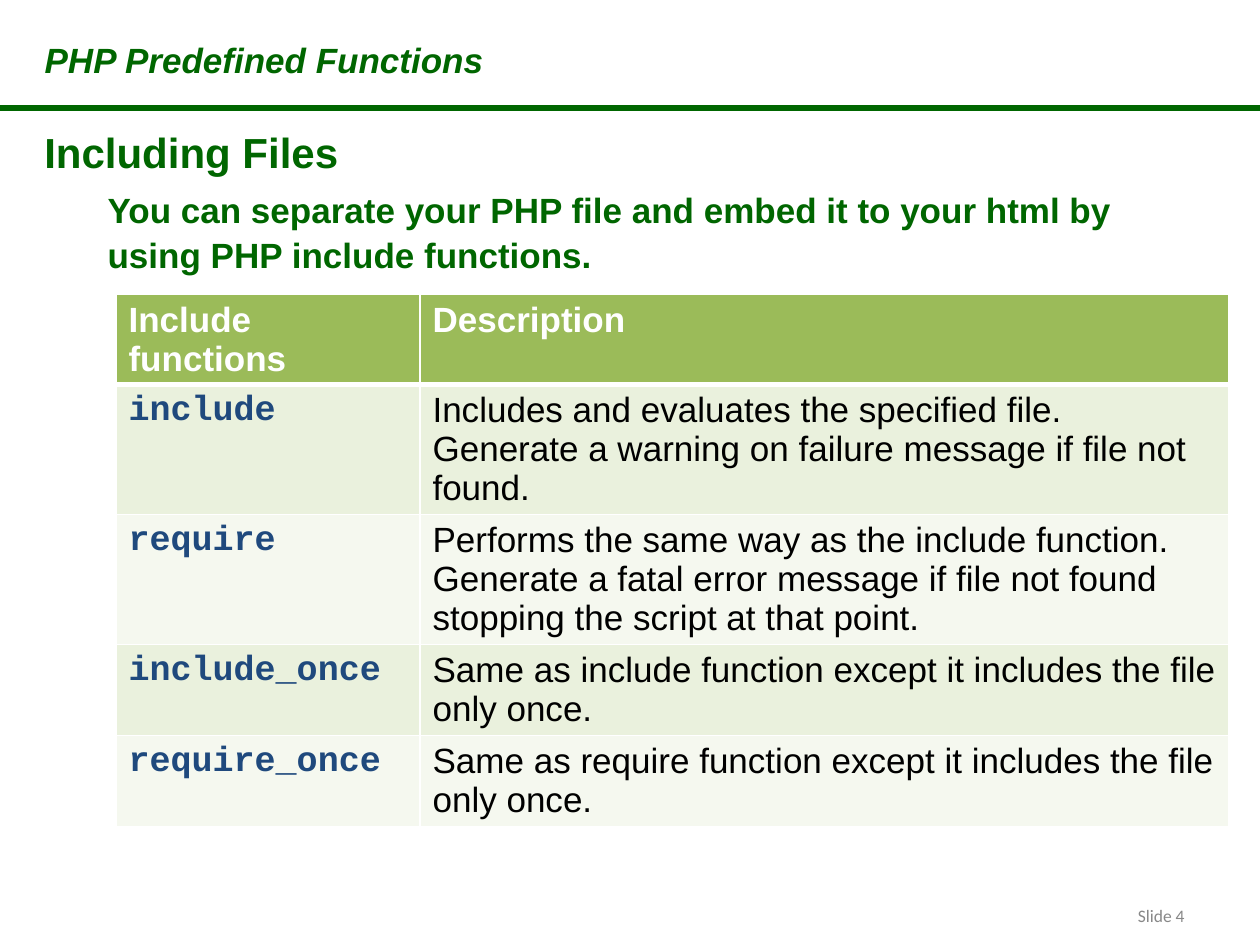
from dataclasses import dataclass

from lxml.etree import SubElement
from pptx import Presentation
from pptx.dml.color import RGBColor
from pptx.enum.shapes import MSO_SHAPE
from pptx.enum.text import MSO_ANCHOR, MSO_AUTO_SIZE, PP_ALIGN
from pptx.oxml.ns import qn
from pptx.util import Emu, Pt

PX_PER_INCH = 126
GREEN, WHITE, BLACK = "006600", "FFFFFF", "000000"
HEADER_FILL, BAND_FILLS = "9BBB59", ("EAF1DD", "F5F8EF")


@dataclass(frozen=True)
class Style:
    size: int
    color: str
    font: str = "Arial"
    bold: bool = False
    italic: bool = False


@dataclass(frozen=True)
class IncludeFunction:
    name: str
    description: tuple[str, ...]
    height: int


HEADER = Style(20, WHITE, bold=True)
CODE = Style(20, "1F497D", "Courier New", bold=True)
DESCRIPTION = Style(20, BLACK)

FUNCTIONS = (
    IncludeFunction("include", (
        "Includes and evaluates the specified file.",
        "Generate a warning on failure message if file not found."), 130),
    IncludeFunction("require", (
        "Performs the same way as the include function.",
        "Generate a fatal error message if file not found stopping the script at that point."), 130),
    IncludeFunction("include_once", (
        "Same as include function except it includes the file only once.",), 91),
    IncludeFunction("require_once", (
        "Same as require function except it includes the file only once.",), 91),
)


def px(length: int) -> Emu:
    return Emu(round(length * 914400 / PX_PER_INCH))


def rgb(color: str) -> RGBColor:
    return RGBColor.from_string(color)


def add_run(paragraph, text: str, style: Style) -> None:
    run = paragraph.add_run()
    run.text = text
    font = run.font
    font.size, font.name = Pt(style.size), style.font
    font.bold, font.italic = style.bold, style.italic
    font.color.rgb = rgb(style.color)


def write_line(shape, box: tuple[int, int, int, int], text: str, style: Style,
               indent: int = 0, align=PP_ALIGN.LEFT, anchor=MSO_ANCHOR.TOP) -> None:
    """Place a text shape and give it one unbulleted paragraph."""
    shape.left, shape.top, shape.width, shape.height = map(px, box)
    frame = shape.text_frame
    frame.word_wrap, frame.auto_size = True, MSO_AUTO_SIZE.NONE
    frame.vertical_anchor = anchor
    paragraph = frame.paragraphs[0]
    paragraph.alignment = align
    paragraph.space_before, paragraph.line_spacing = Pt(0), 1.08
    properties = paragraph._p.get_or_add_pPr()
    properties.set("marL", str(px(indent)))
    properties.set("indent", "0")
    SubElement(properties, qn("a:buNone"))
    add_run(paragraph, text, style)


def add_borders(cell, bottom: int) -> None:
    properties = cell._tc.get_or_add_tcPr()
    for position, (side, width) in enumerate(
            (("lnL", 1), ("lnR", 1), ("lnT", 1), ("lnB", bottom))):
        line = SubElement(properties, qn(f"a:{side}"), w=str(Pt(width)))
        fill = SubElement(line, qn("a:solidFill"))
        SubElement(fill, qn("a:srgbClr"), val=WHITE)
        properties.insert(position, line)


def fill_cell(cell, lines: tuple[str, ...], style: Style, fill: str, bottom: int = 1) -> None:
    cell.fill.solid()
    cell.fill.fore_color.rgb = rgb(fill)
    add_borders(cell, bottom)
    frame = cell.text_frame
    for index, line in enumerate(lines):
        paragraph = frame.add_paragraph() if index else frame.paragraphs[0]
        add_run(paragraph, line, style)


def add_function_table(slide) -> None:
    heights = [90] + [function.height for function in FUNCTIONS]
    widths = (304, 809)
    table = slide.shapes.add_table(
        len(heights), len(widths), px(116), px(294), px(sum(widths)), px(sum(heights))).table
    for column, width in zip(table.columns, widths):
        column.width = px(width)
    for row, height in zip(table.rows, heights):
        row.height = px(height)
    for column, heading in enumerate(("Include functions", "Description")):
        fill_cell(table.cell(0, column), (heading,), HEADER, HEADER_FILL, bottom=3)
    for row, function in enumerate(FUNCTIONS, start=1):
        band = BAND_FILLS[(row - 1) % 2]
        fill_cell(table.cell(row, 0), (function.name,), CODE, band)
        fill_cell(table.cell(row, 1), function.description, DESCRIPTION, band)


def main() -> None:
    deck = Presentation()
    deck.slide_width, deck.slide_height = px(1260), px(945)
    slide = deck.slides.add_slide(deck.slide_layouts[1])
    shapes = slide.shapes

    # Chapter title and rule
    write_line(shapes.title, (32, 29, 766, 55), "PHP Predefined Functions",
               Style(20, GREEN, bold=True, italic=True))
    rule = shapes.add_shape(MSO_SHAPE.RECTANGLE, px(0), px(105), px(1260), px(6))
    rule.shadow.inherit = False
    rule.fill.solid()
    rule.fill.fore_color.rgb = rgb(GREEN)
    rule.line.fill.background()

    # Section heading and introduction
    heading = shapes.add_textbox(0, 0, 0, 0)
    write_line(heading, (32, 116, 1187, 63), "Including Files", Style(24, GREEN, bold=True))
    write_line(slide.placeholders[1], (32, 179, 1134, 97),
               "You can separate your PHP file and embed it to your html by "
               "using PHP include functions.",
               Style(20, GREEN, bold=True), indent=63)

    add_function_table(slide)

    # Slide number
    number = shapes.add_textbox(0, 0, 0, 0)
    write_line(number, (903, 890, 294, 50), "Slide 4", Style(10, "888888", "Calibri"),
               align=PP_ALIGN.RIGHT, anchor=MSO_ANCHOR.MIDDLE)

    deck.save("out.pptx")


if __name__ == "__main__":
    main()
